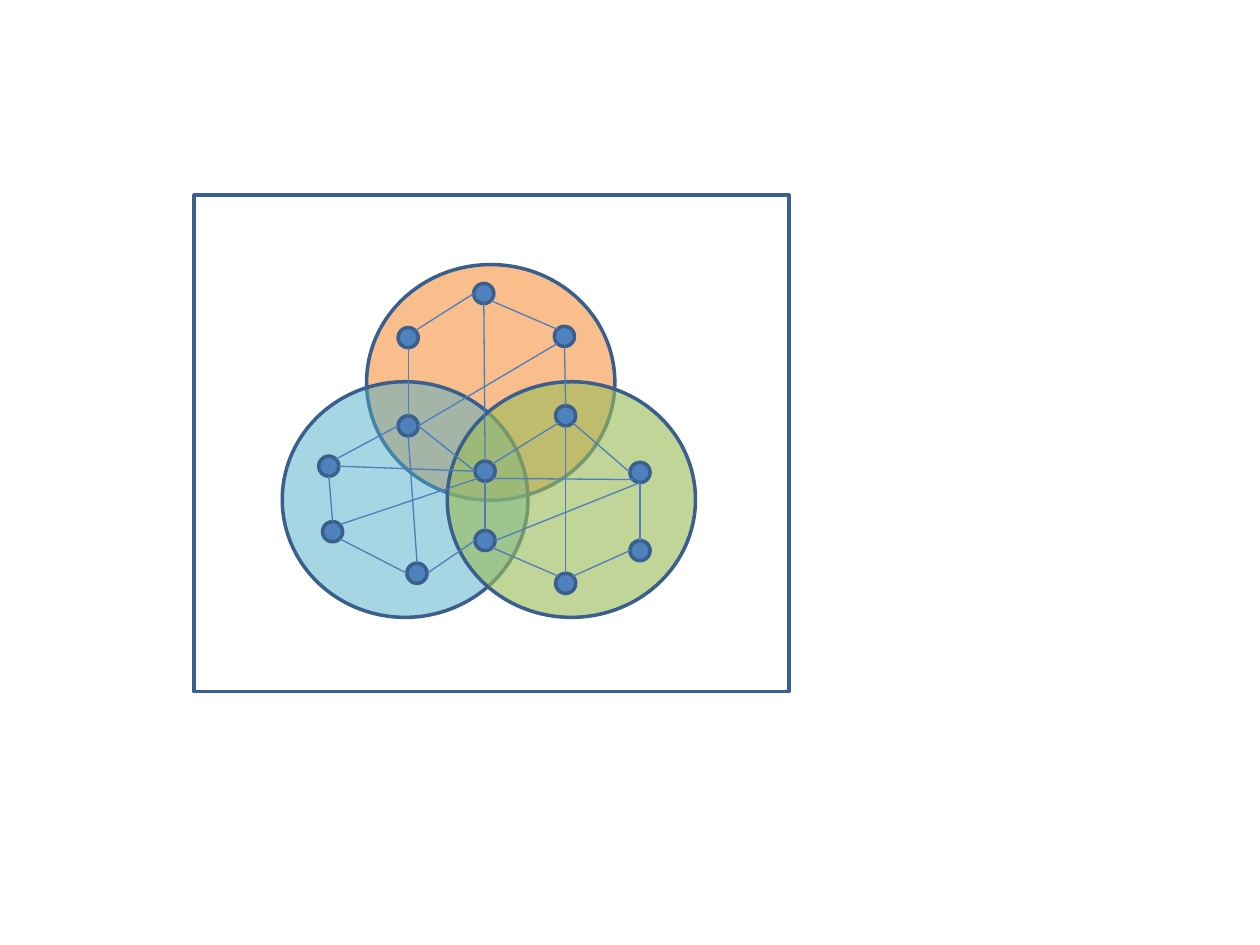
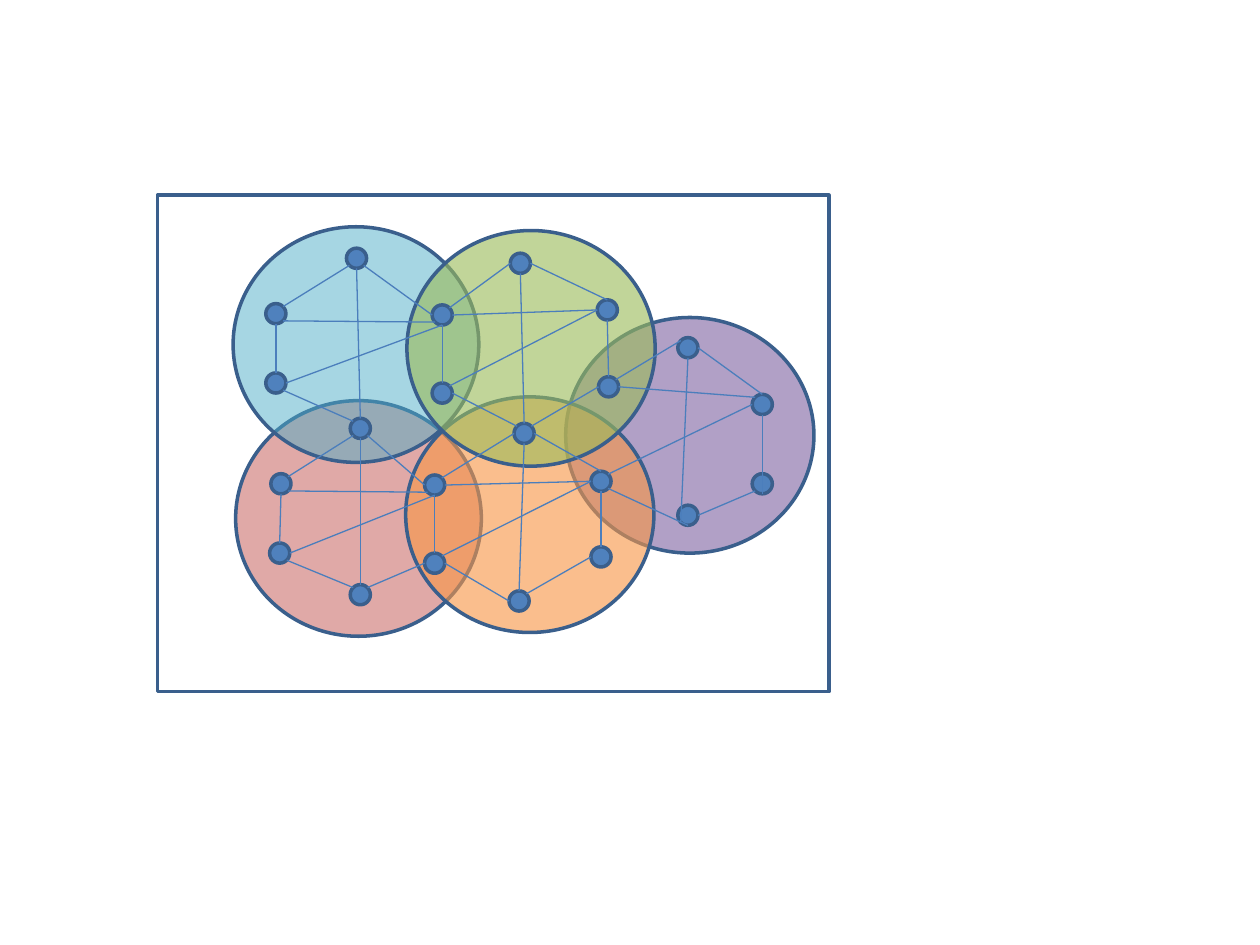
from math import sqrt

from lxml import etree
from pptx import Presentation
from pptx.dml.color import RGBColor
from pptx.enum.shapes import MSO_CONNECTOR as Connector, MSO_SHAPE as Shape
from pptx.oxml.ns import qn
from pptx.util import Inches, Pt

# Shared colours
ORANGE = RGBColor(0xF7, 0x96, 0x46)
BLUE = RGBColor(0x4B, 0xAC, 0xC6)
GREEN = RGBColor(0x9B, 0xBB, 0x59)
RED = RGBColor(0xC0, 0x50, 0x4D)
PURPLE = RGBColor(0x80, 0x64, 0xA2)
NODE = RGBColor(0x4F, 0x81, 0xBD)
OUTLINE = RGBColor(0x3A, 0x5F, 0x8C)
LINK = RGBColor(0x4B, 0x7E, 0xBC)

# Shared sizes, in inches
NODE_SIZE = 0.16
GROUP_HEIGHT = 1.87
WIDE, NARROW = 1.97, 1.95
OPACITY = {WIDE: 61, NARROW: 49}

# Points on a node's edge, as steps from its centre
DIAGONAL = 1 / sqrt(2)
SIDES = {
    "n": (0, -1), "s": (0, 1), "w": (-1, 0), "e": (1, 0),
    "nw": (-DIAGONAL, -DIAGONAL), "ne": (DIAGONAL, -DIAGONAL),
    "sw": (-DIAGONAL, DIAGONAL), "se": (DIAGONAL, DIAGONAL),
}

# Groups: colour, width, left, top. Nodes: centre. All are relative to the frame.
# A node is named after the groups that it belongs to, a link after its two ends.
THREE_GROUPS = {
    "frame": (1.54, 1.55, 4.72, 3.94),
    "groups": [
        (ORANGE, WIDE, 1.37, 0.55),
        (BLUE, NARROW, 0.70, 1.48),
        (GREEN, WIDE, 2.01, 1.48),
    ],
    "nodes": {
        "O1": (2.30, 0.78), "O2": (1.70, 1.13), "O3": (2.94, 1.12),
        "B1": (1.07, 2.15), "B2": (1.10, 2.67), "B3": (1.77, 3.00),
        "G1": (3.54, 2.20), "G2": (3.54, 2.82), "G3": (2.95, 3.08),
        "OB": (1.70, 1.83), "OG": (2.95, 1.75), "BG": (2.31, 2.74),
        "OBG": (2.31, 2.19),
    },
    "links": """
        B1.ne-OB.w  OB.e-OBG.w  B1.s-B2.n  B2.se-B3.w  B3.e-BG.w
        B1.e-OBG.w  OBG.s-BG.n  B2.ne-OBG.sw  B3.n-OB.s
        OBG.ne-OG.sw  BG.se-G3.nw  OG.se-G1.w  G1.s-G2.n  G3.ne-G2.w
        OG.s-G3.n  BG.e-G1.s  OBG.se-G1.sw
        O1.s-OBG.n  OB.e-O3.sw  O2.ne-O1.w  O1.se-O3.nw  OB.n-O2.s  OG.n-O3.s
    """,
}
FIVE_GROUPS = {
    "frame": (1.25, 1.55, 5.33, 3.94),
    "groups": [
        (PURPLE, WIDE, 3.24, 0.97),
        (RED, NARROW, 0.62, 1.63),
        (ORANGE, WIDE, 1.97, 1.60),
        (BLUE, NARROW, 0.60, 0.25),
        (GREEN, WIDE, 1.98, 0.28),
    ],
    "nodes": {
        "R1": (0.98, 2.29), "R2": (0.97, 2.84), "R3": (1.61, 3.17),
        "O1": (2.87, 3.22), "O2": (3.52, 2.87),
        "B1": (0.94, 0.94), "B2": (0.94, 1.49), "B3": (1.58, 0.50),
        "G1": (2.88, 0.54), "G2": (3.57, 0.91),
        "P1": (4.21, 1.21), "P2": (4.80, 1.66), "P3": (4.80, 2.29), "P4": (4.21, 2.54),
        "BR": (1.61, 1.85), "RO1": (2.20, 2.30), "RO2": (2.20, 2.92),
        "BG1": (2.26, 0.95), "BG2": (2.26, 1.57),
        "GO": (2.91, 1.89), "OP": (3.52, 2.27), "GP": (3.58, 1.52),
    },
    "links": """
        R1.s-R2.n  R1.ne-BR.sw  R2.se-R3.nw  BR.se-RO1.w  RO1.s-RO2.n
        R3.ne-RO2.w  BR.s-R3.n  R2.e-RO1.s  R1.se-RO1.sw
        RO1.ne-GO.w  RO2.e-O1.w  O1.ne-O2.w  O2.n-OP.s  GO.s-O1.n
        RO2.ne-OP.w  RO1.e-OP.w  GO.e-OP.n
        B1.s-B2.n  B1.ne-B3.sw  B2.se-BR.nw  B3.se-BG1.w  BG1.s-BG2.n
        B3.s-BR.n  B2.e-BG1.s  B1.se-BG1.sw
        BG1.ne-G1.w  BG2.e-GO.nw  GO.ne-GP.w  GP.n-G2.s  G1.s-GO.n
        BG2.ne-G2.w  BG1.e-G2.w  G1.e-G2.n
        OP.ne-P2.w  GP.e-P2.nw  P1.s-P4.sw  OP.se-P4.s  P4.e-P3.sw
        P1.e-P2.n  P2.s-P3.s  P1.nw-GP.ne
    """,
}


def add_outlined(page, kind, left, top, width, height, color=None, opacity=100):
    """Add an outlined shape; without a colour it stays hollow."""
    shape = page.shapes.add_shape(
        kind, Inches(left), Inches(top), Inches(width), Inches(height))
    shape.shadow.inherit = False
    shape.line.color.rgb = OUTLINE
    shape.line.width = Pt(2)
    if color is None:
        shape.fill.background()
        return
    shape.fill.solid()
    shape.fill.fore_color.rgb = color
    if opacity < 100:
        tint = shape.fill._xPr.find(qn("a:solidFill"))[0]
        etree.SubElement(tint, qn("a:alpha")).set("val", str(opacity * 1000))


def add_link(page, start, end):
    """Add a thin straight line without a shadow."""
    link = page.shapes.add_connector(
        Connector.STRAIGHT, *(Inches(length) for length in (*start, *end)))
    link.line.color.rgb = LINK
    link.line.width = Pt(0.75)
    etree.SubElement(link._element.spPr, qn("a:effectLst"))


def add_network(page, frame, groups, nodes, links):
    """Draw overlapping groups of linked nodes inside the frame."""
    left, top, width, height = frame

    # Groups and frame
    for color, group_width, x, y in groups:
        add_outlined(page, Shape.OVAL, left + x, top + y, group_width,
                     GROUP_HEIGHT, color, OPACITY[group_width])
    add_outlined(page, Shape.RECTANGLE, left, top, width, height)

    # Nodes
    radius = NODE_SIZE / 2
    for x, y in nodes.values():
        add_outlined(page, Shape.OVAL, left + x - radius, top + y - radius,
                     NODE_SIZE, NODE_SIZE, NODE)

    # Links, from edge to edge
    def edge_point(end):
        name, side = end.split(".")
        (x, y), (step_x, step_y) = nodes[name], SIDES[side]
        return left + x + step_x * radius, top + y + step_y * radius

    for pair in links.split():
        start, end = pair.split("-")
        add_link(page, edge_point(start), edge_point(end))


deck = Presentation()
deck.slide_width, deck.slide_height = Inches(10), Inches(7.5)
for network in (THREE_GROUPS, FIVE_GROUPS):
    blank_page = deck.slides.add_slide(deck.slide_layouts[6])
    add_network(blank_page, **network)
deck.save("out.pptx")
